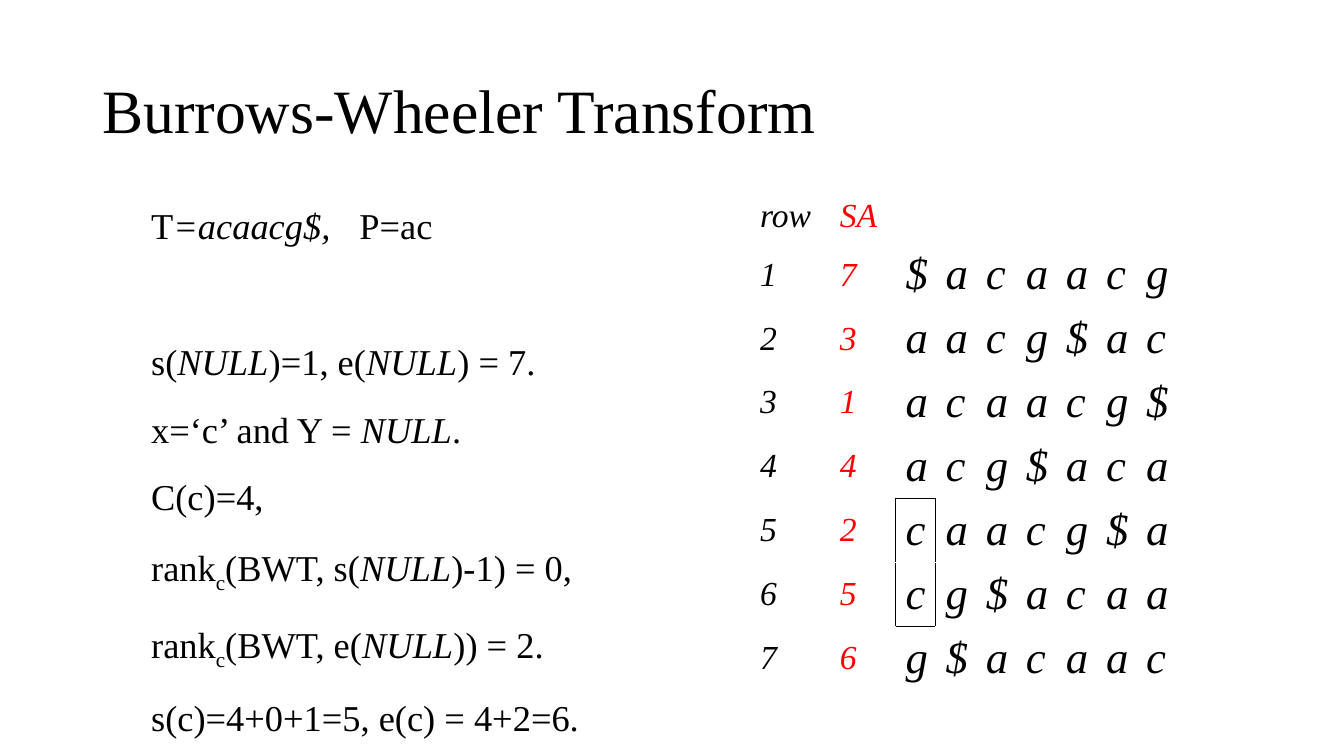
from lxml import etree
from pptx import Presentation
from pptx.dml.color import RGBColor
from pptx.enum.text import MSO_ANCHOR
from pptx.oxml.ns import qn
from pptx.util import Cm, Pt

BLACK = RGBColor(0x00, 0x00, 0x00)
RED = RGBColor(0xFF, 0x00, 0x00)
MIDDLE = MSO_ANCHOR.MIDDLE
TOP = MSO_ANCHOR.TOP

TITLE = [[("Burrows-Wheeler Transform", "")]]
# Each line is a list of (text, style): "i" italic, "s" subscript
STEPS = [
    [("T", ""), ("=acaacg$,", "i"), ("\tP=ac", "")],
    [("s(", ""), ("NULL", "i"), (")=1, e(", ""), ("NULL", "i"), (") = 7.", "")],
    [("x=‘c’ and Y = ", ""), ("NULL", "i"), (".", "")],
    [("C(c)=4,", "")],
    [("rank", ""), ("c", "s"), ("(BWT, s(", ""), ("NULL", "i"), (")-1) = 0,", "")],
    [("rank", ""), ("c", "s"), ("(BWT, e(", ""), ("NULL", "i"), (")) = 2.", "")],
    [("s(c)=4+0+1=5, e(c) = 4+2=6.", "")],
]
WORD = "acaacg$"
BOXED = {(5, 2), (6, 2)}
SIDES = {"lnL": (0, -1), "lnR": (0, 1), "lnT": (-1, 0), "lnB": (1, 0)}


class Page:
    font = "Times New Roman"

    def __init__(self, deck):
        self.slide = deck.slides.add_slide(deck.slide_layouts[6])

    def style(self, run, size, color=BLACK, kind=""):
        font = run.font
        font.name, font.size, font.italic = self.font, Pt(size), kind == "i"
        font.color.rgb = color
        if kind == "s":
            font._element.set("baseline", "-25000")

    def text(self, box, lines, size, anchor=TOP):
        frame = self.slide.shapes.add_textbox(*map(Cm, box)).text_frame
        frame.word_wrap = True
        frame.vertical_anchor = anchor
        for i, line in enumerate(lines):
            para = frame.add_paragraph() if i else frame.paragraphs[0]
            para.line_spacing = 1.5 if i else 0.9
            for words, kind in line:
                run = para.add_run()
                run.text = words
                self.style(run, size, kind=kind)
        return frame.paragraphs

    def tab(self, para, place):
        stops = etree.SubElement(para._p.get_or_add_pPr(), qn("a:tabLst"))
        etree.SubElement(stops, qn("a:tab"), pos=str(Cm(place)), algn="l")

    def edge(self, cell, side):
        line = etree.SubElement(cell._tc.get_or_add_tcPr(), qn("a:" + side), w=str(Pt(1)))
        fill = etree.SubElement(line, qn("a:solidFill"))
        etree.SubElement(fill, qn("a:srgbClr"), val=str(BLACK))

    def grid(self, left, top, wide, high, rows):
        shape = self.slide.shapes.add_table(
            len(rows), len(wide), Cm(left), Cm(top), Cm(sum(wide)), Cm(sum(high)))
        table = shape.table
        table.first_row = table.horz_banding = False
        for col, width in zip(table.columns, wide):
            col.width = Cm(width)
        for row, height in zip(table.rows, high):
            row.height = Cm(height)
        for r, row in enumerate(rows):
            for c, word in enumerate(row):
                cell = table.cell(r, c)
                for side, (down, across) in SIDES.items():
                    if ((r, c) in BOXED) != ((r + down, c + across) in BOXED):
                        self.edge(cell, side)
                cell.fill.background()
                cell.vertical_anchor = MIDDLE if r else TOP
                cell.text = word
                for run in cell.text_frame.paragraphs[0].runs:
                    self.style(run, 24 if c < 2 else 32, RED if c == 1 else BLACK, "i")


def main():
    deck = Presentation()
    deck.slide_width, deck.slide_height = Cm(33.87), Cm(19.05)
    page = Page(deck)

    # Title
    page.text((2.33, 1.01, 29.21, 3.68), TITLE, 44, MIDDLE)

    # Search steps
    steps = page.text((3.56, 5.13, 15.2, 14), STEPS, 26)
    page.tab(steps[0], 5.25)
    steps[1].space_before = Pt(49.5)
    for para in steps[2:]:
        para.space_before = Pt(1.6)

    # Sorted rotations with their suffix array
    turns = sorted((WORD[i:] + WORD[:i], i + 1) for i in range(len(WORD)))
    rows = [["row", "SA"] + [""] * len(WORD)]
    rows += [[str(n), str(start), *turn] for n, (turn, start) in enumerate(turns, 1)]
    page.grid(18.9, 4.85, [2.01, 1.66] + [1.01] * 7, [1.18] + [1.61] * 7, rows)

    deck.save("out.pptx")


if __name__ == "__main__":
    main()
